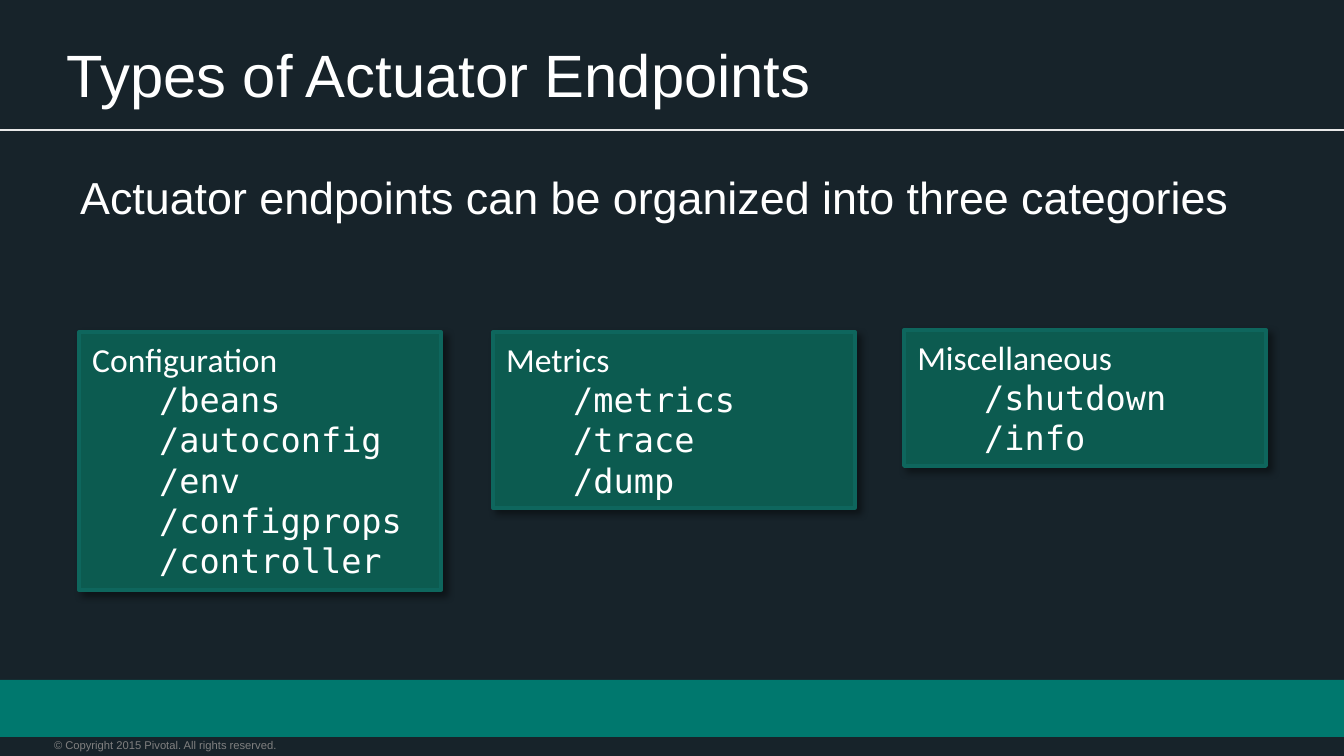
"""Build the slide on the three categories of actuator endpoints."""
from dataclasses import dataclass

from lxml import etree
from pptx import Presentation, util as u
from pptx.dml.color import RGBColor
from pptx.enum import shapes, text
from pptx.oxml.ns import qn

EMU_PER_PX = 914400 / 134.4
WIDTH, HEIGHT = 1344, 756


@dataclass(frozen=True)
class Theme:
    background: str = "17232A"
    band: str = "00786E"
    rule: str = "E8E8E8"
    card: str = "0C5B50"
    card_edge: str = "0E665D"
    shadow: str = "000000"
    ink: str = "FFFFFF"
    muted: str = "808080"
    sans: str = "Arial"
    heading: str = "Calibri"
    mono: str = "DejaVu Sans Mono"
    title_pt: int = 32
    lead_pt: int = 24
    card_pt: int = 18
    legal_pt: int = 6


@dataclass(frozen=True)
class Category:
    name: str
    endpoints: tuple[str, ...]
    left: int
    top: int
    height: int


THEME = Theme()
CARD_WIDTH = 362
ENDPOINT_INDENT = 67
CATEGORIES = (
    Category("Configuration",
             ("/beans", "/autoconfig", "/env", "/configprops", "/controller"),
             79, 332, 258),
    Category("Metrics", ("/metrics", "/trace", "/dump"), 493, 332, 176),
    Category("Miscellaneous", ("/shutdown", "/info"), 904, 330, 136),
)


def px(length: int) -> int:
    return round(length * EMU_PER_PX)


def color(code: str) -> RGBColor:
    return RGBColor.from_string(code)


def write(frame, words: str, *, size: int, font: str = THEME.sans,
          ink: str = THEME.ink, indent: int = 0, first: bool = True) -> None:
    paragraph = frame.paragraphs[0] if first else frame.add_paragraph()
    paragraph.alignment = text.PP_ALIGN.LEFT
    if indent:
        paragraph.level = 1
        properties = paragraph._p.get_or_add_pPr()
        properties.set("marL", str(px(indent)))
        properties.set("indent", "0")
    run = paragraph.add_run()
    run.text = words
    run.font.size = u.Pt(size)
    run.font.name = font
    run.font.color.rgb = color(ink)


def add_label(slide, words: str, box: tuple[int, int, int, int], *,
              inset: bool = False, anchor=text.MSO_ANCHOR.TOP, **style) -> None:
    frame = slide.shapes.add_textbox(*map(px, box)).text_frame
    frame.word_wrap = True
    frame.vertical_anchor = anchor
    if not inset:
        frame.margin_left = frame.margin_right = 0
        frame.margin_top = frame.margin_bottom = 0
    write(frame, words, **style)


def add_rectangle(slide, box: tuple[int, int, int, int], fill: str):
    rectangle = slide.shapes.add_shape(shapes.MSO_SHAPE.RECTANGLE, *map(px, box))
    rectangle.shadow.inherit = False
    rectangle.fill.solid()
    rectangle.fill.fore_color.rgb = color(fill)
    rectangle.line.fill.background()
    return rectangle


def add_rule(slide, y: int) -> None:
    rule = slide.shapes.add_connector(
        shapes.MSO_CONNECTOR.STRAIGHT, 0, px(y), px(WIDTH), px(y))
    rule.line.color.rgb = color(THEME.rule)
    rule.line.width = u.Pt(0.75)
    etree.SubElement(rule._element.spPr, qn("a:effectLst"))


def cast_shadow(card) -> None:
    effects = card._element.spPr.find(qn("a:effectLst"))
    shadow = etree.SubElement(
        effects, qn("a:outerShdw"), blurRad=str(u.Pt(4)), dist=str(u.Pt(3)),
        dir=str(45 * 60000), algn="tl", rotWithShape="0")
    tint = etree.SubElement(shadow, qn("a:srgbClr"), val=THEME.shadow)
    etree.SubElement(tint, qn("a:alpha"), val="43000")


def add_category(slide, category: Category) -> None:
    card = add_rectangle(
        slide, (category.left, category.top, CARD_WIDTH, category.height),
        THEME.card)
    card.line.color.rgb = color(THEME.card_edge)
    card.line.width = u.Pt(2)
    cast_shadow(card)
    frame = card.text_frame
    frame.word_wrap = True
    frame.vertical_anchor = text.MSO_ANCHOR.TOP
    write(frame, category.name, size=THEME.card_pt, font=THEME.heading)
    for endpoint in category.endpoints:
        write(frame, endpoint, size=THEME.card_pt, font=THEME.mono,
              indent=ENDPOINT_INDENT, first=False)


def main() -> None:
    deck = Presentation()
    deck.slide_width, deck.slide_height = px(WIDTH), px(HEIGHT)
    slide = deck.slides.add_slide(deck.slide_layouts[6])
    slide.background.fill.solid()
    slide.background.fill.fore_color.rgb = color(THEME.background)

    add_rectangle(slide, (0, 680, WIDTH, 57), THEME.band)
    add_label(slide, "© Copyright 2015 Pivotal. All rights reserved.",
              (54, 738, 335, 13), size=THEME.legal_pt, ink=THEME.muted)
    add_rule(slide, 130)
    add_label(slide, "Types of Actuator Endpoints", (67, 47, 1210, 54),
              anchor=text.MSO_ANCHOR.MIDDLE, size=THEME.title_pt)
    add_label(slide, "Actuator endpoints can be organized into three categories",
              (67, 163, 1210, 453), inset=True, size=THEME.lead_pt)
    for category in CATEGORIES:
        add_category(slide, category)
    deck.save("out.pptx")


if __name__ == "__main__":
    main()
